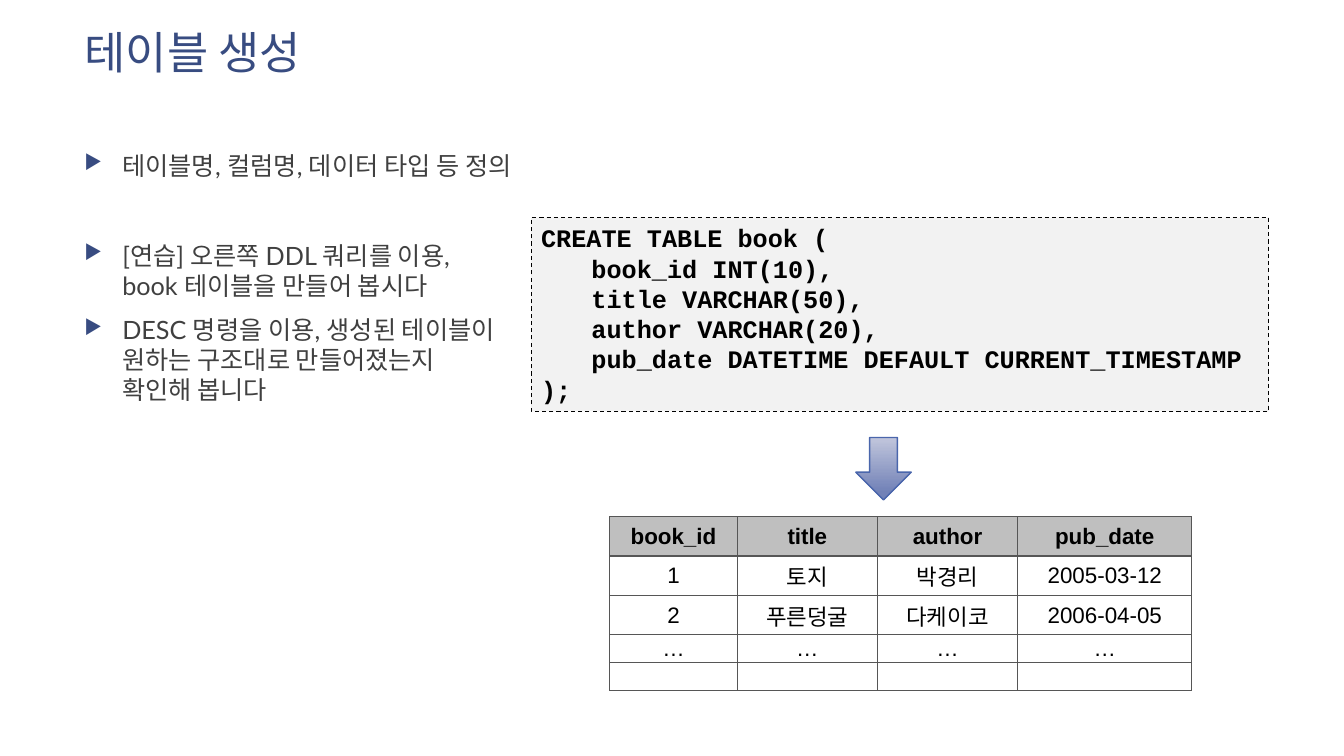
from lxml import etree
from pptx import Presentation
from pptx import util as u
from pptx.dml import color
from pptx.enum import dml, shapes, text
from pptx.oxml import ns

Pt = u.Pt
COLORS = {
    "navy": "384C81", "body": "404040", "black": "000000", "code": "F2F2F2",
    "header": "BFBFBF", "border": "565656", "arrow_top": "C1C6DC",
    "arrow_bottom": "7181B7", "arrow_line": "4A66AC",
}


def rgb(name):
    return color.RGBColor.from_string(COLORS[name])


def write(para, words, font, size, tone, bold=False):
    para.text = words
    for span in para.runs:
        for key, value in {"name": font, "size": Pt(size), "bold": bold}.items():
            setattr(span.font, key, value)
        span.font.color.rgb = rgb(tone)


deck = Presentation()
deck.slide_width, deck.slide_height = Pt(960), Pt(540)
page = deck.slides.add_slide(deck.slide_layouts[5])

title = page.shapes.title
title_place = {"left": 53.3, "top": 13.7, "width": 676.8, "height": 90}
for key, value in title_place.items():
    setattr(title, key, Pt(value))
title.text_frame.vertical_anchor = text.MSO_ANCHOR.TOP
title.text_frame.auto_size = text.MSO_AUTO_SIZE.NONE
write(title.text_frame.paragraphs[0], "테이블 생성", "Lato", 32, "navy")
title.text_frame.paragraphs[0].alignment = text.PP_ALIGN.LEFT

bullets = [
    ("테이블명, 컬럼명, 데이터 타입 등 정의", 10),
    ("[연습] 오른쪽 DDL 쿼리를 이용,\nbook 테이블을 만들어 봅시다", 42.5),
    ("DESC 명령을 이용, 생성된 테이블이\n원하는 구조대로 만들어졌는지 \n확인해 봅니다", 10),
]
body = page.shapes.add_textbox(Pt(53.3), Pt(103.7), Pt(676.8), Pt(371.5))
body.text_frame.word_wrap = True
for index, (words, gap) in enumerate(bullets):
    para = body.text_frame.paragraphs[0] if index == 0 else body.text_frame.add_paragraph()
    write(para, words, "Lato", 18, "body")
    para.space_before = Pt(gap)
    props = para._p.get_or_add_pPr()
    props.set("marL", str(Pt(27)))
    props.set("indent", str(-Pt(27)))
    tint = etree.SubElement(props, ns.qn("a:buClr"))
    etree.SubElement(tint, ns.qn("a:srgbClr"), val=COLORS["navy"])
    etree.SubElement(props, ns.qn("a:buSzPct"), val="80000")
    etree.SubElement(props, ns.qn("a:buChar"), char="▶")

code_lines = [
    "CREATE TABLE book (",
    "\tbook_id INT(10),",
    "\ttitle VARCHAR(50),",
    "\tauthor VARCHAR(20),",
    "\tpub_date DATETIME DEFAULT CURRENT_TIMESTAMP",
    ");",
]
code_box = page.shapes.add_shape(
    shapes.MSO_SHAPE.RECTANGLE, Pt(379.4), Pt(155.5), Pt(527), Pt(138.2))
code_box.shadow.inherit = False
code_box.fill.solid()
code_box.fill.fore_color.rgb = rgb("code")
code_box.line.color.rgb = rgb("black")
code_box.line.width = Pt(0.75)
code_box.line.dash_style = dml.MSO_LINE.DASH
code_box.text_frame.word_wrap = True
code_box.text_frame.vertical_anchor = text.MSO_ANCHOR.TOP
for index, words in enumerate(code_lines):
    para = code_box.text_frame.paragraphs[0] if index == 0 else code_box.text_frame.add_paragraph()
    write(para, words, "Courier New", 18, "black", True)
    para.alignment = text.PP_ALIGN.LEFT
    stops = etree.SubElement(para._p.get_or_add_pPr(), ns.qn("a:tabLst"))
    etree.SubElement(stops, ns.qn("a:tab"), pos=str(Pt(36)), algn="l")

books = [
    ["book_id", "title", "author", "pub_date"],
    ["1", "토지", "박경리", "2005-03-12"],
    ["2", "푸른덩굴", "다케이코", "2006-04-05"],
    ["…"] * 4,
    [""] * 4,
]
frame = page.shapes.add_table(5, 4, Pt(435.6), Pt(369.2), Pt(415.8), Pt(124))
table = frame.table
table.first_row = table.horz_banding = False
for column, width in zip(table.columns, [91, 100.2, 100.2, 124.4]):
    column.width = Pt(width)
for row, height in zip(table.rows, [28, 28, 28, 20, 20]):
    row.height = Pt(height)
cell_format = {
    "margin_left": Pt(0.7), "margin_right": Pt(0.7), "margin_top": Pt(0.7),
    "margin_bottom": 0, "vertical_anchor": text.MSO_ANCHOR.MIDDLE,
}
for r, record in enumerate(books):
    for c, words in enumerate(record):
        cell = table.cell(r, c)
        for key, value in cell_format.items():
            setattr(cell, key, value)
        para = cell.text_frame.paragraphs[0]
        write(para, words, "Arial", 16, "black", r == 0)
        para.alignment = text.PP_ALIGN.CENTER
        para._p.get_or_add_endParaRPr().set("sz", "1600")
        props = cell._tc.get_or_add_tcPr()
        for side in "LRTB":
            heavy = (r, side) in [(0, "B"), (1, "T")]
            edge = etree.SubElement(props, ns.qn(f"a:ln{side}"), w=str(Pt(2 if heavy else 1)))
            paint = etree.SubElement(edge, ns.qn("a:solidFill"))
            etree.SubElement(paint, ns.qn("a:srgbClr"), val=COLORS["border"])
        if r == 0:
            cell.fill.solid()
            cell.fill.fore_color.rgb = rgb("header")
        else:
            cell.fill.background()

arrow = page.shapes.add_shape(
    shapes.MSO_SHAPE.DOWN_ARROW, Pt(611.3), Pt(312.5), Pt(39.6), Pt(44.6))
arrow.shadow.inherit = False
arrow.fill.gradient()
arrow.fill.gradient_angle = 270
for stop, tone, position in zip(arrow.fill.gradient_stops, ["arrow_top", "arrow_bottom"], [0, 0.88]):
    stop.color.rgb = rgb(tone)
    stop.position = position
arrow.line.color.rgb = rgb("arrow_line")
arrow.line.width = Pt(1)

deck.save("out.pptx")
